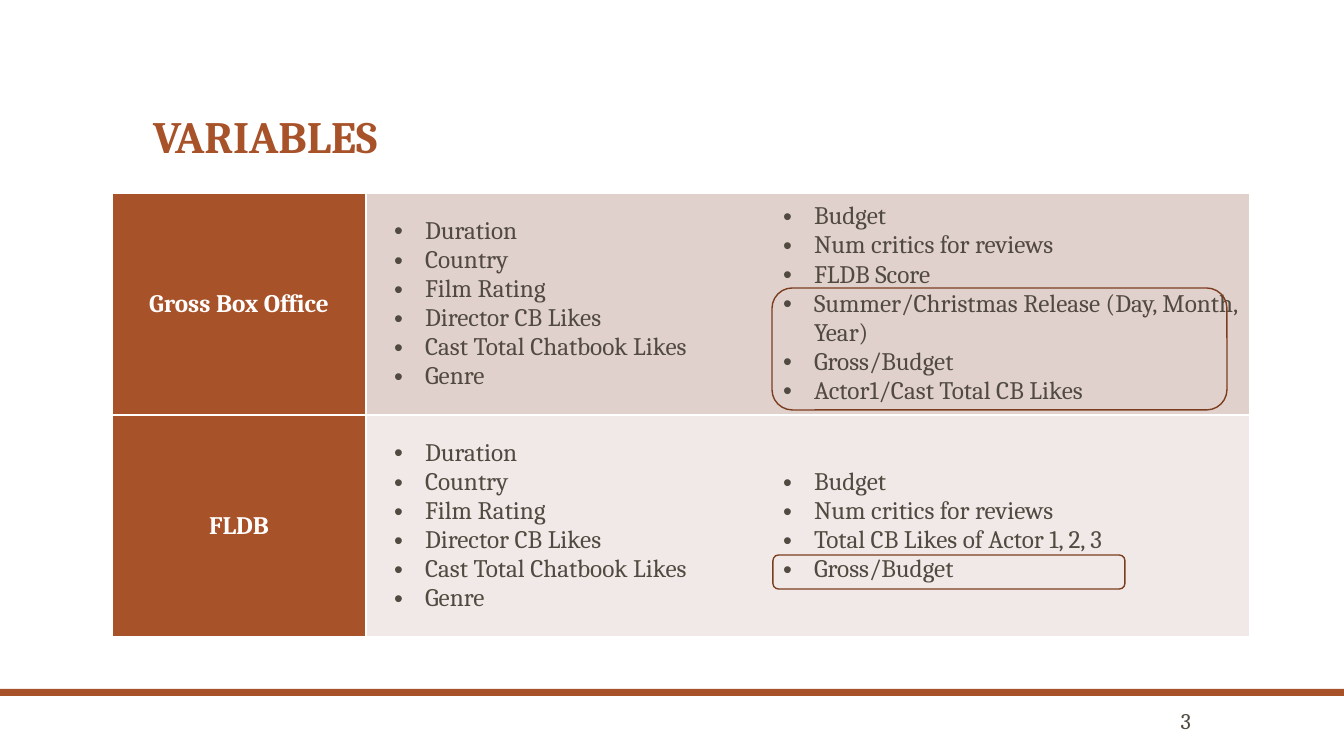
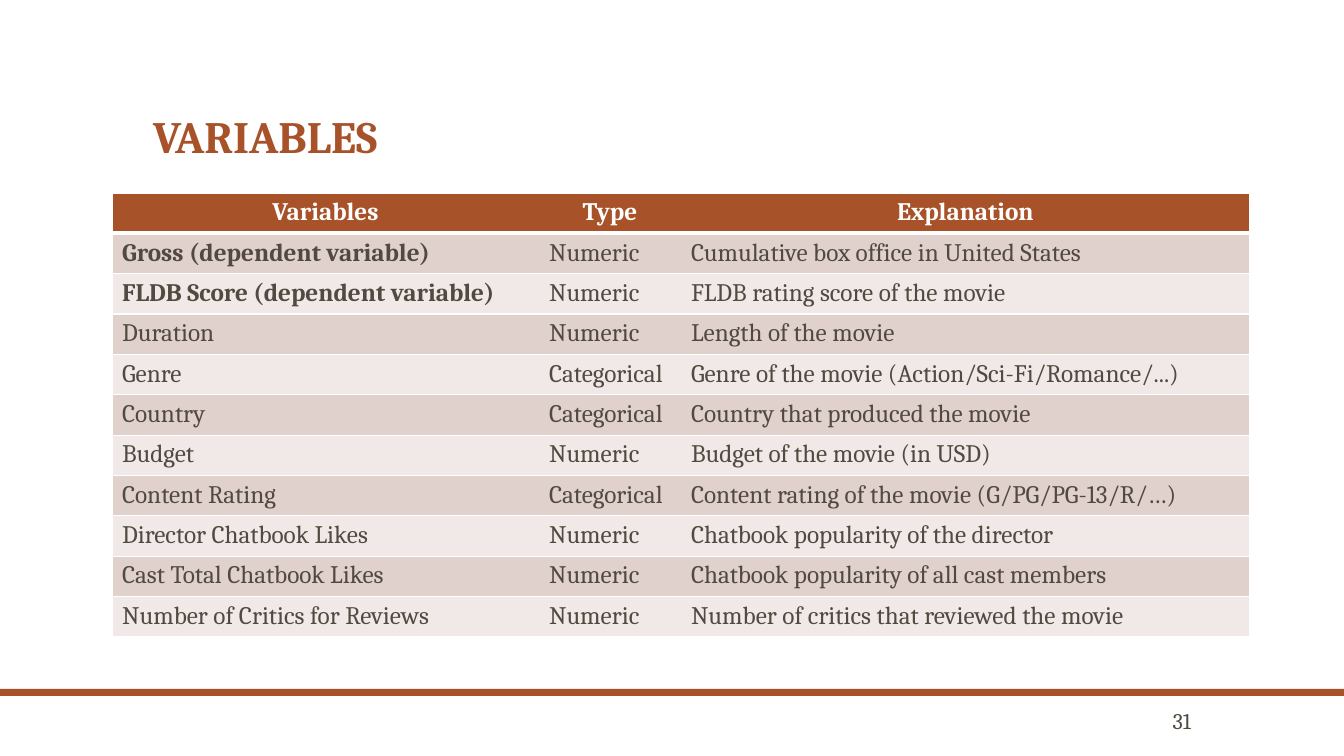
from dataclasses import dataclass

from lxml import etree
from pptx import Presentation
from pptx.dml.color import RGBColor
from pptx.enum.shapes import MSO_SHAPE
from pptx.enum.text import MSO_ANCHOR, MSO_AUTO_SIZE, PP_ALIGN
from pptx.oxml.ns import qn
from pptx.util import Emu, Pt

RECT, ROUND_RECT = MSO_SHAPE.RECTANGLE, MSO_SHAPE.ROUNDED_RECTANGLE
LEFT, CENTER, RIGHT = PP_ALIGN.LEFT, PP_ALIGN.CENTER, PP_ALIGN.RIGHT
TOP, MIDDLE, BOTTOM = MSO_ANCHOR.TOP, MSO_ANCHOR.MIDDLE, MSO_ANCHOR.BOTTOM
NO_FIT = MSO_AUTO_SIZE.NONE

# Shared look
SLIDE_W, SLIDE_H = 1344, 756
EMU_PER_PX = 12192000 / SLIDE_W
FONT = "Cambria"
RUST, DARK_RUST, INK, WHITE = "A85229", "7C3D1E", "514A40", "FFFFFF"
BANDS = ("E1D1CD", "F1E9E8")
TABLE_X, TABLE_Y = 112, 193
BULLET_HANG = 31


@dataclass(frozen=True)
class Box:
    x: int
    y: int
    w: int
    h: int


@dataclass(frozen=True)
class CellStyle:
    fill: str
    borders: dict[str, float]
    color: str = INK
    bold: bool = False
    align: PP_ALIGN = LEFT
    anchor: MSO_ANCHOR = TOP
    bullet_indent: int | None = None


def px(n: float) -> Emu:
    return Emu(round(n * EMU_PER_PX))


def place(box: Box) -> tuple[Emu, ...]:
    return px(box.x), px(box.y), px(box.w), px(box.h)


def rgb(value: str) -> RGBColor:
    return RGBColor.from_string(value)


def add_run(p, text: str, size: int, color: str, bold: bool = False) -> None:
    r = p.add_run()
    r.text = text
    r.font.name, r.font.size, r.font.bold = FONT, Pt(size), bold
    r.font.color.rgb = rgb(color)


def add_bullet(p, indent: int) -> None:
    pPr = p._p.get_or_add_pPr()
    pPr.set("marL", str(px(indent)))
    pPr.set("indent", str(-px(BULLET_HANG)))
    etree.SubElement(pPr, qn("a:buFont")).set("typeface", "Arial")
    etree.SubElement(pPr, qn("a:buChar")).set("char", "•")


def set_borders(cell, widths: dict[str, float]) -> None:
    """Draw white lines on the sides in widths (points), none on the others."""
    tcPr = cell._tc.get_or_add_tcPr()
    for side in "LRTB":
        ln = etree.SubElement(tcPr, qn(f"a:ln{side}"))
        if side in widths:
            ln.set("w", str(Pt(widths[side])))
            fill = etree.SubElement(ln, qn("a:solidFill"))
            etree.SubElement(fill, qn("a:srgbClr")).set("val", WHITE)
        else:
            etree.SubElement(ln, qn("a:noFill"))


def fill_cell(cell, lines: tuple[str, ...], style: CellStyle) -> None:
    set_borders(cell, style.borders)
    cell.fill.solid()
    cell.fill.fore_color.rgb = rgb(style.fill)
    cell.vertical_anchor = style.anchor
    tf = cell.text_frame
    for i, line in enumerate(lines):
        p = tf.add_paragraph() if i else tf.paragraphs[0]
        p.alignment = style.align
        if style.bullet_indent is not None:
            add_bullet(p, style.bullet_indent)
        add_run(p, line, 18, style.color, style.bold)


def add_table(s, col_widths: tuple[int, ...], row_count: int, row_height: int):
    box = Box(TABLE_X, TABLE_Y, sum(col_widths), row_count * row_height)
    table = s.shapes.add_table(row_count, len(col_widths), *place(box)).table
    for col, width in zip(table.columns, col_widths):
        col.width = px(width)
    for row in table.rows:
        row.height = px(row_height)
    table.horz_banding = False
    return table


def add_shape(s, kind: MSO_SHAPE, box: Box,
              fill: str | None = None, line: str | None = None) -> None:
    sp = s.shapes.add_shape(kind, *place(box))
    sp.shadow.inherit = False
    if fill:
        sp.fill.solid()
        sp.fill.fore_color.rgb = rgb(fill)
    else:
        sp.fill.background()
    if line:
        sp.line.color.rgb = rgb(line)
        sp.line.width = Pt(1)
    else:
        sp.line.fill.background()


def add_base_slide(prs, title: str, number: str):
    """Title, footer band and page number."""
    s = prs.slides.add_slide(prs.slide_layouts[5])
    sp = s.shapes.title
    sp.left, sp.top, sp.width, sp.height = place(Box(143, 42, 1058, 126))
    tf = sp.text_frame
    tf.vertical_anchor, tf.auto_size = BOTTOM, NO_FIT
    p = tf.paragraphs[0]
    p.alignment, p.line_spacing = LEFT, 0.9
    add_run(p, title, 32, RUST, True)

    add_shape(s, RECT, Box(0, 689, SLIDE_W, 7), fill=RUST)

    tf = s.shapes.add_textbox(*place(Box(1124, 708, 77, 26))).text_frame
    tf.word_wrap, tf.vertical_anchor = True, MIDDLE
    tf.margin_top = tf.margin_bottom = 0
    p = tf.paragraphs[0]
    p.alignment = RIGHT
    add_run(p, number, 16, INK)
    return s


# Slide content
COMMON = ("Duration", "Country", "Film Rating", "Director CB Likes",
          "Cast Total Chatbook Likes", "Genre")
MODELS = (
    ("Gross Box Office",
     ("Budget", "Num critics for reviews", "FLDB Score",
      "Summer/Christmas Release (Day, Month, Year)", "Gross/Budget",
      "Actor1/Cast Total CB Likes")),
    ("FLDB",
     ("Budget", "Num critics for reviews", "Total CB Likes of Actor 1, 2, 3",
      "Gross/Budget")),
)
HIGHLIGHTS = (Box(772, 288, 455, 122), Box(773, 555, 352, 34))

HEADERS = ("Variables", "Type", "Explanation")
DEPENDENT_COUNT = 2
VARIABLES = (
    ("Gross (dependent variable)", "Numeric", "Cumulative box office in United States"),
    ("FLDB Score (dependent variable)", "Numeric", "FLDB rating score of the movie"),
    ("Duration", "Numeric", "Length of the movie"),
    ("Genre", "Categorical", "Genre of the movie (Action/Sci-Fi/Romance/...)"),
    ("Country", "Categorical", "Country that produced the movie"),
    ("Budget", "Numeric", "Budget of the movie (in USD)"),
    ("Content Rating", "Categorical", "Content rating of the movie (G/PG/PG-13/R/…)"),
    ("Director Chatbook Likes", "Numeric", "Chatbook popularity of the director"),
    ("Cast Total Chatbook Likes", "Numeric", "Chatbook popularity of all cast members"),
    ("Number of Critics for Reviews", "Numeric", "Number of critics that reviewed the movie"),
)


def build_model_slide(prs) -> None:
    s = add_base_slide(prs, "VARIABLES", "3")
    table = add_table(s, (254, 407, 477), len(MODELS), 222)
    table.first_row, table.first_col = False, True
    head = CellStyle(RUST, dict.fromkeys("LRTB", 1), WHITE, True, CENTER, MIDDLE)
    for i, (model, extras) in enumerate(MODELS):
        fill_cell(table.cell(i, 0), (model,), head)
        lists = ((COMMON, "LTB", 49), (extras, "RTB", BULLET_HANG))
        for j, (lines, sides, indent) in enumerate(lists, 1):
            style = CellStyle(BANDS[i], dict.fromkeys(sides, 1),
                              anchor=MIDDLE, bullet_indent=indent)
            fill_cell(table.cell(i, j), lines, style)
    for box in HIGHLIGHTS:
        add_shape(s, ROUND_RECT, box, line=DARK_RUST)


def build_definition_slide(prs) -> None:
    s = add_base_slide(prs, "VARIABLES", "31")
    table = add_table(s, (427, 142, 569), len(VARIABLES) + 1, 39)
    outer = ({"L": 1}, {}, {"R": 1})
    for j, header in enumerate(HEADERS):
        style = CellStyle(RUST, outer[j] | {"T": 1, "B": 3}, WHITE, True, CENTER)
        fill_cell(table.cell(0, j), (header,), style)
    for i, variable in enumerate(VARIABLES):
        for j, text in enumerate(variable):
            borders = outer[j] | {"T": 1 if i else 3, "B": 1}
            style = CellStyle(BANDS[i % 2], borders,
                              bold=j == 0 and i < DEPENDENT_COUNT)
            fill_cell(table.cell(i + 1, j), (text,), style)


def main() -> None:
    prs = Presentation()
    prs.slide_width, prs.slide_height = px(SLIDE_W), px(SLIDE_H)
    build_model_slide(prs)
    build_definition_slide(prs)
    prs.save("out.pptx")


if __name__ == "__main__":
    main()
